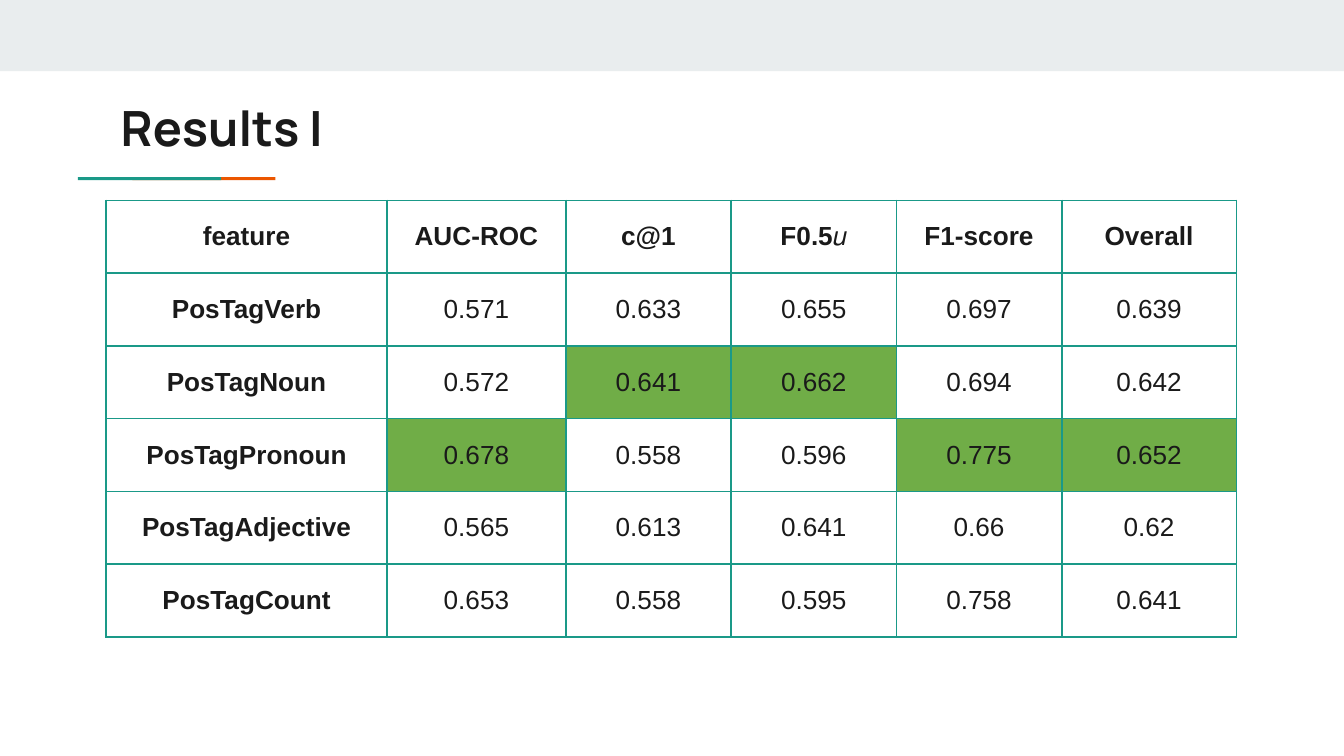
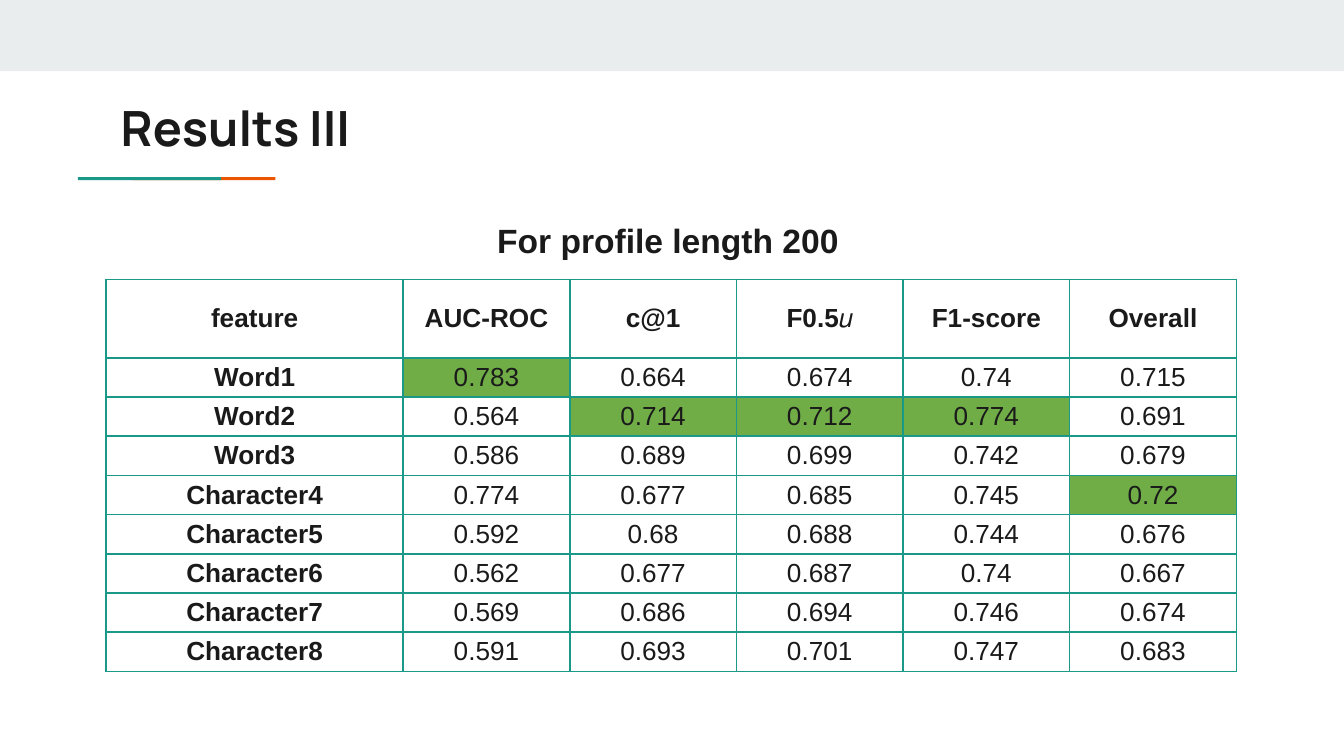
from dataclasses import dataclass
from typing import NamedTuple

from lxml.etree import SubElement
from pptx import Presentation
from pptx.dml.color import RGBColor
from pptx.enum.shapes import MSO_SHAPE as Preset
from pptx.enum.text import MSO_ANCHOR as Anchor, PP_ALIGN as Align
from pptx.oxml.ns import qn
from pptx.util import Inches, Pt

# Page grid: 100 columns by 100 rows
WIDTH, HEIGHT = Inches(10), Inches(5.625)
COLUMN, ROW = WIDTH / 100, HEIGHT / 100

COLORS = {
    "band": "E9EDEE",
    "teal": "1A9988",
    "orange": "EB5600",
    "ink": "1A1A1A",
    "best": "70AD47",
}
TITLE_FONT, BODY_FONT = "Manrope", "Arial"
HEADINGS = ("feature", "AUC-ROC", "c@1", "F0.5𝑢", "F1-score", "Overall")


class Area(NamedTuple):
    left: float
    top: float
    width: float
    height: float

    def lengths(self) -> tuple[int, ...]:
        units = (COLUMN, ROW, COLUMN, ROW)
        return tuple(round(share * unit) for share, unit in zip(self, units))


class Bar(NamedTuple):
    area: Area
    color: str


@dataclass
class Results:
    title: str
    top: float
    column_widths: tuple[float, ...]
    header_height: float
    row_height: float
    scores: dict[str, tuple[str, ...]]
    caption: str = ""


# Parts shared by both slides; the teal rule overlaps the orange one
BARS = (
    Bar(Area(0, 0, 100, 9.42), "band"),
    Bar(Area(9.85, 23.42, 10.65, 0.4), "orange"),
    Bar(Area(5.8, 23.42, 10.65, 0.4), "teal"),
)
TITLE_AREA = Area(8, 11.2, 84.1, 10.5)
CAPTION_AREA = Area(8, 26.5, 84.1, 57.8)
TABLE_LEFT = 7.9

PAGES = (
    Results(
        "Results I", 26.5, (20.9, 13.3, 12.3, 12.3, 12.3, 13), 9.63, 9.63,
        {
            "PosTagVerb": ("0.571", "0.633", "0.655", "0.697", "0.639"),
            "PosTagNoun": ("0.572", "0.641", "0.662", "0.694", "0.642"),
            "PosTagPronoun": ("0.678", "0.558", "0.596", "0.775", "0.652"),
            "PosTagAdjective": ("0.565", "0.613", "0.641", "0.66", "0.62"),
            "PosTagCount": ("0.653", "0.558", "0.595", "0.758", "0.641"),
        },
    ),
    Results(
        "Results III", 36.95, (22.1,) + (12.4,) * 5, 10.38, 5.19,
        {
            "Word1": ("0.783", "0.664", "0.674", "0.74", "0.715"),
            "Word2": ("0.564", "0.714", "0.712", "0.774", "0.691"),
            "Word3": ("0.586", "0.689", "0.699", "0.742", "0.679"),
            "Character4": ("0.774", "0.677", "0.685", "0.745", "0.72"),
            "Character5": ("0.592", "0.68", "0.688", "0.744", "0.676"),
            "Character6": ("0.562", "0.677", "0.687", "0.74", "0.667"),
            "Character7": ("0.569", "0.686", "0.694", "0.746", "0.674"),
            "Character8": ("0.591", "0.693", "0.701", "0.747", "0.683"),
        },
        caption="For profile length 200 ",
    ),
)


def paint(fill, color: str) -> None:
    fill.solid()
    fill.fore_color.rgb = RGBColor.from_string(COLORS[color])


def style(para, font: str, size: int, bold: bool = True) -> None:
    para.font.name = font
    para.font.size = Pt(size)
    para.font.bold = bold
    para.font.color.rgb = RGBColor.from_string(COLORS["ink"])


def draw_bar(page, bar: Bar) -> None:
    box = page.shapes.add_shape(Preset.RECTANGLE, *bar.area.lengths())
    box.shadow.inherit = False
    box.line.fill.background()
    paint(box.fill, bar.color)


def draw_text(page, area: Area, text: str, font: str, size: int):
    frame = page.shapes.add_textbox(*area.lengths()).text_frame
    frame.word_wrap = True
    frame.margin_left = frame.margin_right = Inches(0.1)
    frame.margin_top = frame.margin_bottom = Inches(0.1)
    para = frame.paragraphs[0]
    para.text = text
    style(para, font, size)
    return para


def draw_borders(cell) -> None:
    properties = cell._tc.get_or_add_tcPr()
    for side in ("lnL", "lnR", "lnT", "lnB"):
        line = SubElement(properties, qn(f"a:{side}"), w=str(Pt(1)))
        fill = SubElement(line, qn("a:solidFill"))
        SubElement(fill, qn("a:srgbClr"), val=COLORS["teal"])


def fill_cell(cell, text: str, bold: bool, best: bool) -> None:
    cell.vertical_anchor = Anchor.MIDDLE
    cell.margin_left = cell.margin_right = Inches(0.03)
    cell.margin_top = cell.margin_bottom = 0
    para = cell.text_frame.paragraphs[0]
    para.text = text
    para.alignment = Align.CENTER
    style(para, BODY_FONT, 14, bold)
    draw_borders(cell)
    if best:
        paint(cell.fill, "best")
    else:
        cell.fill.background()


def draw_table(page, results: Results) -> None:
    rows = [HEADINGS] + [(name, *values) for name, values in results.scores.items()]
    heights = [results.header_height] + [results.row_height] * len(results.scores)
    area = Area(TABLE_LEFT, results.top, sum(results.column_widths), sum(heights))
    table = page.shapes.add_table(len(rows), len(HEADINGS), *area.lengths()).table
    table.first_row = table.horz_banding = False
    for column, width in zip(table.columns, results.column_widths):
        column.width = round(width * COLUMN)
    for row, height in zip(table.rows, heights):
        row.height = round(height * ROW)

    # The highest score of each column is highlighted
    best = [max(values, key=float) for values in zip(*results.scores.values())]
    for r, texts in enumerate(rows):
        for c, text in enumerate(texts):
            is_label = r == 0 or c == 0
            fill_cell(table.cell(r, c), text, is_label,
                      not is_label and text == best[c - 1])


def draw_page(deck, results: Results) -> None:
    page = deck.slides.add_slide(deck.slide_layouts[6])
    for bar in BARS:
        draw_bar(page, bar)
    draw_text(page, TITLE_AREA, results.title, TITLE_FONT, 26)
    if results.caption:
        para = draw_text(page, CAPTION_AREA, results.caption, BODY_FONT, 18)
        para.alignment = Align.CENTER
        para.line_spacing = 1.15
        para.space_after = Pt(16)
    draw_table(page, results)


def main() -> None:
    deck = Presentation()
    deck.slide_width, deck.slide_height = WIDTH, HEIGHT
    for results in PAGES:
        draw_page(deck, results)
    deck.save("out.pptx")


if __name__ == "__main__":
    main()
